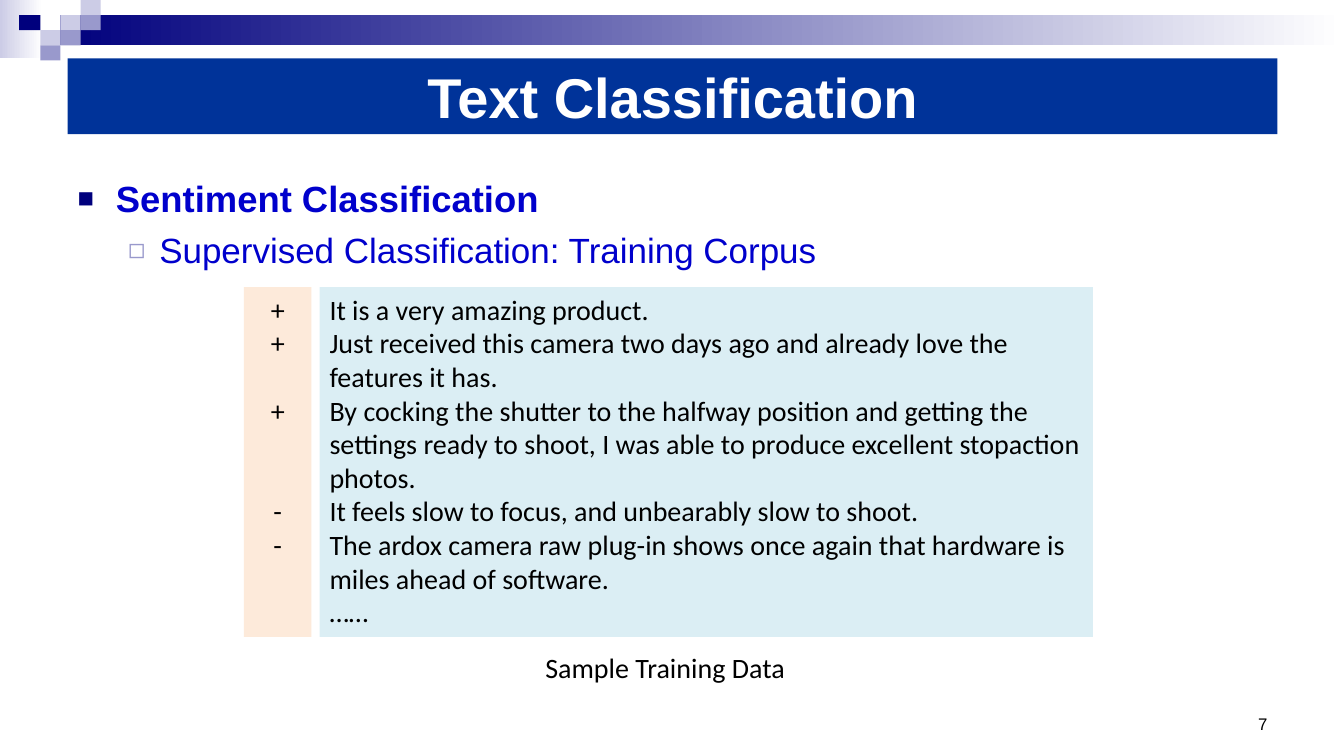
from typing import NamedTuple

from lxml.etree import SubElement
from pptx import Presentation
from pptx.dml.color import RGBColor
from pptx.enum.text import MSO_ANCHOR, MSO_AUTO_SIZE, PP_ALIGN
from pptx.oxml.ns import qn
from pptx.util import Emu, Pt

PX = 9144  # 100 px to the inch
NAVY, LILAC, PALE, WHITE, BLACK = "00007D", "9999CC", "CCCCE6", "FFFFFF", "000000"
LINE_PT = 24  # height of one line of sample text


class Box(NamedTuple):
    left: int
    top: int
    width: int
    height: int


class Block(NamedTuple):
    box: Box
    color: str
    fade_to: str = ""


class Style(NamedTuple):
    font: str
    size: int
    color: str
    bold: bool = False


class Bullet(NamedTuple):
    text: str
    style: Style
    level: int
    margin: int
    indent: int
    mark: str
    mark_color: str
    mark_percent: int


class Sample(NamedTuple):
    sign: str
    text: str
    lines: int


def rgb(color: str) -> RGBColor:
    return RGBColor.from_string(color)


def emu(box: Box) -> list[Emu]:
    return [Emu(length * PX) for length in box]


def place(shape, box: Box) -> None:
    shape.left, shape.top, shape.width, shape.height = emu(box)


def add_block(slide, block: Block):
    shape = slide.shapes.add_shape(1, *emu(block.box))
    shape.shadow.inherit = False
    shape.line.fill.background()
    if block.fade_to:
        shape.fill.gradient()
        shape.fill.gradient_angle = 0
        for stop, color in zip(shape.fill.gradient_stops, (block.color, block.fade_to)):
            stop.color.rgb = rgb(color)
    else:
        shape.fill.solid()
        shape.fill.fore_color.rgb = rgb(block.color)
    return shape


def add_paragraph(frame, index: int, text: str, style: Style, align=PP_ALIGN.LEFT):
    paragraph = frame.add_paragraph() if index else frame.paragraphs[0]
    paragraph.alignment = align
    run = paragraph.add_run()
    run.text = text
    run.font.name, run.font.size, run.font.bold = style.font, Pt(style.size), style.bold
    run.font.color.rgb = rgb(style.color)
    return paragraph


def add_bullet(frame, index: int, bullet: Bullet) -> None:
    paragraph = add_paragraph(frame, index, bullet.text, bullet.style)
    paragraph.level = bullet.level
    paragraph.space_before = Pt(6)
    props = paragraph._p.get_or_add_pPr()
    props.set("marL", str(bullet.margin * PX))
    props.set("indent", str(bullet.indent * PX))
    color = SubElement(props, qn("a:buClr"))
    SubElement(color, qn("a:srgbClr"), val=bullet.mark_color)
    SubElement(props, qn("a:buSzPct"), val=str(bullet.mark_percent * 1000))
    SubElement(props, qn("a:buFont"), typeface="Arial")
    SubElement(props, qn("a:buChar"), char=bullet.mark)


def add_label(slide, box: Box, text: str, style: Style, align, wrap: bool, anchor) -> None:
    frame = slide.shapes.add_textbox(*emu(box)).text_frame
    frame.word_wrap = wrap
    frame.vertical_anchor = anchor
    add_paragraph(frame, 0, text, style, align)


HEADER = [
    Block(Box(0, 0, 42, 58), PALE, WHITE),
    Block(Box(60, 15, 1273, 30), NAVY, WHITE),
    Block(Box(19, 15, 21, 15), NAVY),
]
# Mosaic tiles as column, row and colour
TILES = [(3, 1, PALE), (4, 0, PALE), (4, 1, LILAC),
         (2, 2, PALE), (3, 2, LILAC), (2, 3, LILAC)]

BULLETS = [
    Bullet("Sentiment Classification", Style("Arial", 26, "0000CC", True),
           0, 38, -38, "■", NAVY, 75),
    Bullet("Supervised Classification: Training Corpus", Style("Arial", 25, "0000CC"),
           1, 81, -31, "◻", LILAC, 80),
]
SAMPLES = [
    Sample("+", "It is a very amazing product.", 1),
    Sample("+", "Just received this camera two days ago and already love the "
                "features it has.", 2),
    Sample("+", "By cocking the shutter to the halfway position and getting the settings "
                "ready to shoot, I was able to produce excellent stopaction photos.", 3),
    Sample("-", "It feels slow to focus, and unbearably slow to shoot.", 1),
    Sample("-", "The ardox camera raw plug-in shows once again that hardware is "
                "miles ahead of software.", 2),
    Sample("", "……", 1),
]
SAMPLE_STYLE = Style("Calibri", 20, BLACK)


def main() -> None:
    deck = Presentation()
    deck.slide_width, deck.slide_height = Emu(1333 * PX), Emu(750 * PX)
    slide = deck.slides.add_slide(deck.slide_layouts[1])
    title, body = slide.placeholders

    # Header band and mosaic
    tiles = [Block(Box(col * 20, row * 15, 20, 15), color) for col, row, color in TILES]
    for block in HEADER + tiles:
        add_block(slide, block)

    # Title
    place(title, Box(67, 58, 1200, 75))
    title.fill.solid()
    title.fill.fore_color.rgb = rgb("003399")
    title.text_frame.auto_size = MSO_AUTO_SIZE.NONE
    title.text_frame.vertical_anchor = MSO_ANCHOR.MIDDLE
    add_paragraph(title.text_frame, 0, "Text Classification",
                  Style("Arial", 40, WHITE, True), PP_ALIGN.CENTER)

    # Outline
    place(body, Box(67, 170, 1200, 533))
    body.text_frame.auto_size = MSO_AUTO_SIZE.NONE
    for index, bullet in enumerate(BULLETS):
        add_bullet(body.text_frame, index, bullet)

    # Training samples with their signs
    reviews = add_block(slide, Block(Box(317, 285, 767, 347), "DBEEF4")).text_frame
    signs = add_block(slide, Block(Box(242, 285, 67, 347), "FDEADA")).text_frame
    for frame in (reviews, signs):
        frame.word_wrap = True
        frame.vertical_anchor = MSO_ANCHOR.TOP
    lines_above = 1
    for index, sample in enumerate(SAMPLES):
        add_paragraph(reviews, index, sample.text, SAMPLE_STYLE)
        if sample.sign:
            sign = add_paragraph(signs, index, sample.sign, SAMPLE_STYLE, PP_ALIGN.CENTER)
            sign.space_before = Pt((lines_above - 1) * LINE_PT)
        lines_above = sample.lines

    # Caption and page number
    add_label(slide, Box(531, 640, 260, 44), "Sample Training Data", SAMPLE_STYLE,
              PP_ALIGN.LEFT, False, MSO_ANCHOR.TOP)
    add_label(slide, Box(1111, 683, 156, 50), "7", Style("Arial", 12, BLACK),
              PP_ALIGN.RIGHT, True, MSO_ANCHOR.BOTTOM)

    deck.save("out.pptx")


if __name__ == "__main__":
    main()
